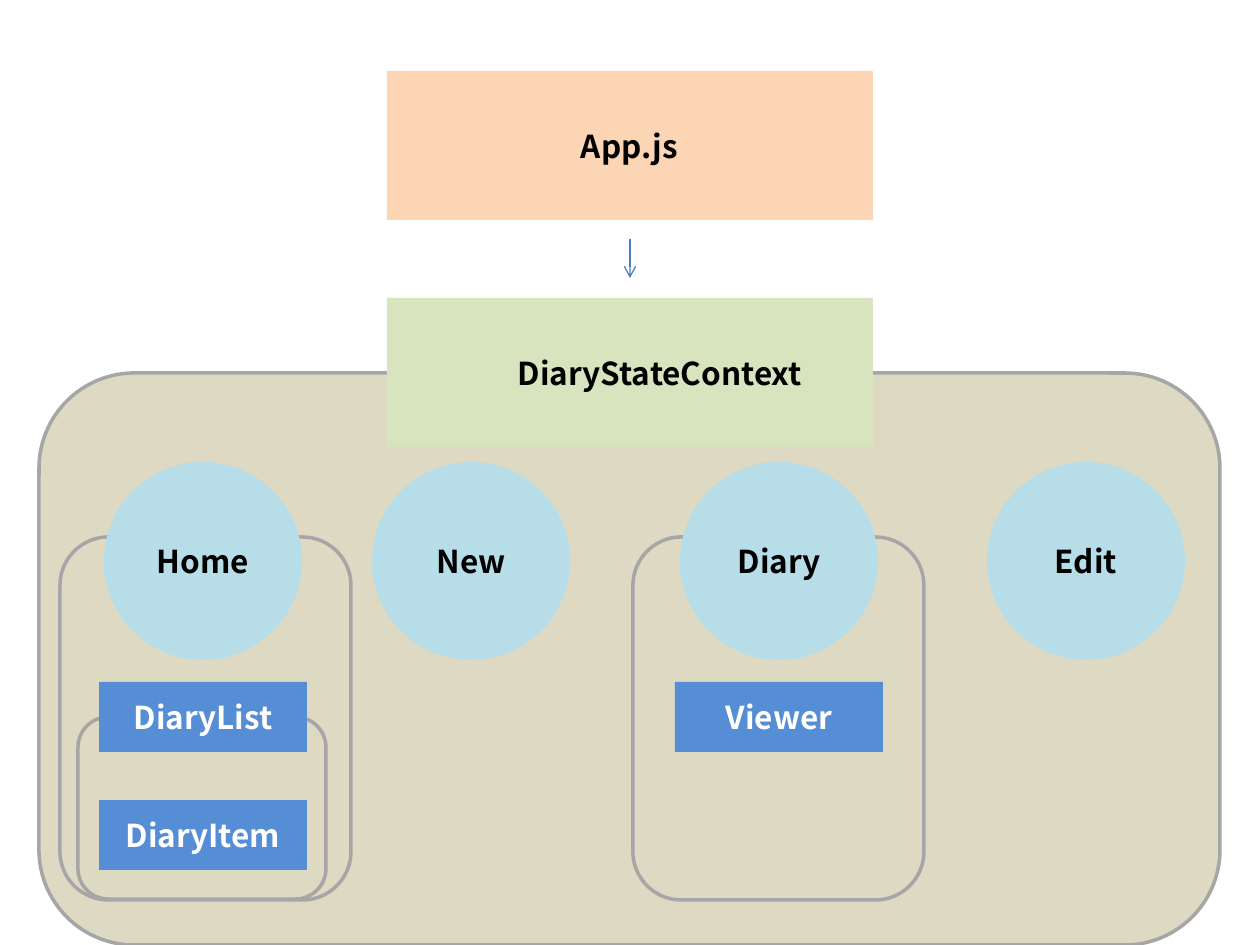
from lxml.etree import SubElement
from pptx import Presentation
from pptx.dml.color import RGBColor
from pptx.enum.shapes import MSO_CONNECTOR as Connector, MSO_SHAPE as Shape
from pptx.enum.text import PP_ALIGN as Align
from pptx.oxml.ns import qn
from pptx.util import Pt

PIXEL = 914400 // 126
FONT = "Noto Sans CJK KR"
LABEL_HEIGHT = 50
CIRCLE = 198
BOX_WIDTH, BOX_HEIGHT = 208, 70
CARD_WIDTH, CARD_HEIGHT = 486, 149

BLACK = RGBColor(0x00, 0x00, 0x00)
WHITE = RGBColor(0xFF, 0xFF, 0xFF)
GREY = RGBColor(0xA6, 0xA6, 0xA6)
SAND = RGBColor(0xDD, 0xD9, 0xC3)
PEACH = RGBColor(0xFC, 0xD5, 0xB5)
GREEN = RGBColor(0xD7, 0xE4, 0xBD)
AQUA = RGBColor(0xB7, 0xDE, 0xE8)
BLUE = RGBColor(0x55, 0x8E, 0xD5)
ARROW_BLUE = RGBColor(0x4B, 0x7E, 0xBC)


def px(*lengths):
    """Turn pixel lengths into EMU."""
    return [length * PIXEL for length in lengths]


def add_filled(shapes, kind, box, fill):
    """Add a borderless filled shape."""
    figure = shapes.add_shape(kind, *px(*box))
    figure.shadow.inherit = False
    figure.fill.solid()
    figure.fill.fore_color.rgb = fill
    figure.line.fill.background()


def add_frame(shapes, box, fill=None):
    """Add a rounded grey frame, hollow unless a fill is given."""
    frame = shapes.add_shape(Shape.ROUNDED_RECTANGLE, *px(*box))
    frame.shadow.inherit = False
    if fill is None:
        frame.fill.background()
    else:
        frame.fill.solid()
        frame.fill.fore_color.rgb = fill
    frame.line.color.rgb = GREY
    frame.line.width = Pt(2)


def add_label(shapes, name, left, top, width, color=BLACK):
    """Add a centred bold component name."""
    label = shapes.add_textbox(*px(left, top, width, LABEL_HEIGHT))
    label.text_frame.word_wrap = True
    paragraph = label.text_frame.paragraphs[0]
    paragraph.text = name
    paragraph.alignment = Align.CENTER
    paragraph.font.name = FONT
    paragraph.font.size = Pt(18)
    paragraph.font.bold = True
    paragraph.font.color.rgb = color


def add_card(shapes, name, left, top, fill, label_width):
    """Add a large card with its name."""
    card = shapes.add_group_shape().shapes
    add_filled(card, Shape.RECTANGLE, (left, top, CARD_WIDTH, CARD_HEIGHT), fill)
    add_label(card, name, left + 104, top + 50, label_width)


def add_page(shapes, name, left, top):
    """Add a page circle with its name."""
    page = shapes.add_group_shape().shapes
    add_filled(page, Shape.OVAL, (left, top, CIRCLE, CIRCLE), AQUA)
    add_label(page, name, left - 10, top + 74, CIRCLE + 20)


def add_component(shapes, name, left, top):
    """Add a small component box with its name."""
    component = shapes.add_group_shape().shapes
    add_filled(component, Shape.RECTANGLE, (left, top, BOX_WIDTH, BOX_HEIGHT), BLUE)
    add_label(component, name, left - 5, top + 10, BOX_WIDTH + 10, WHITE)


def add_arrow(shapes, x, top, bottom):
    """Add a thin downward arrow."""
    arrow = shapes.add_connector(Connector.STRAIGHT, *px(x, top, x, bottom))
    arrow.line.color.rgb = ARROW_BLUE
    arrow.line.width = Pt(0.75)
    SubElement(arrow.line._get_or_add_ln(), qn("a:tailEnd"), type="arrow")
    SubElement(arrow._element.spPr, qn("a:effectLst"))


def add_page_tree(shapes, name, left, top, components, inner=False):
    """Add a framed page with its components below, the first one in front."""
    first_top = top + 145
    for step, component in reversed(list(enumerate(components[1:], 1))):
        add_component(shapes, component, left + 39, first_top + 118 * step)
    add_frame(shapes, (left, top, 291, 363))
    if inner:
        add_frame(shapes, (left + 18, top + 180, 248, 182))
    add_component(shapes, components[0], left + (39 if inner else 42), first_top)
    add_page(shapes, name, left + (44 if inner else 47), top - 75)


def build_component_map():
    """Build the component map slide and save it."""
    deck = Presentation()
    deck.slide_width, deck.slide_height = px(1260, 945)
    shapes = deck.slides.add_slide(deck.slide_layouts[6]).shapes

    add_frame(shapes, (39, 373, 1181, 572), SAND)
    add_card(shapes, "App.js", 387, 71, PEACH, 277)
    add_card(shapes, "DiaryStateContext", 387, 298, GREEN, 338)
    add_arrow(shapes, 630, 239, 278)
    for name, left in (("New", 372), ("Edit", 987)):
        add_page(shapes, name, left, 462)
    add_page_tree(shapes, "Home", 60, 537, ("DiaryList", "DiaryItem"), inner=True)
    add_page_tree(shapes, "Diary", 633, 537, ("Viewer",))

    deck.save("out.pptx")


build_component_map()
